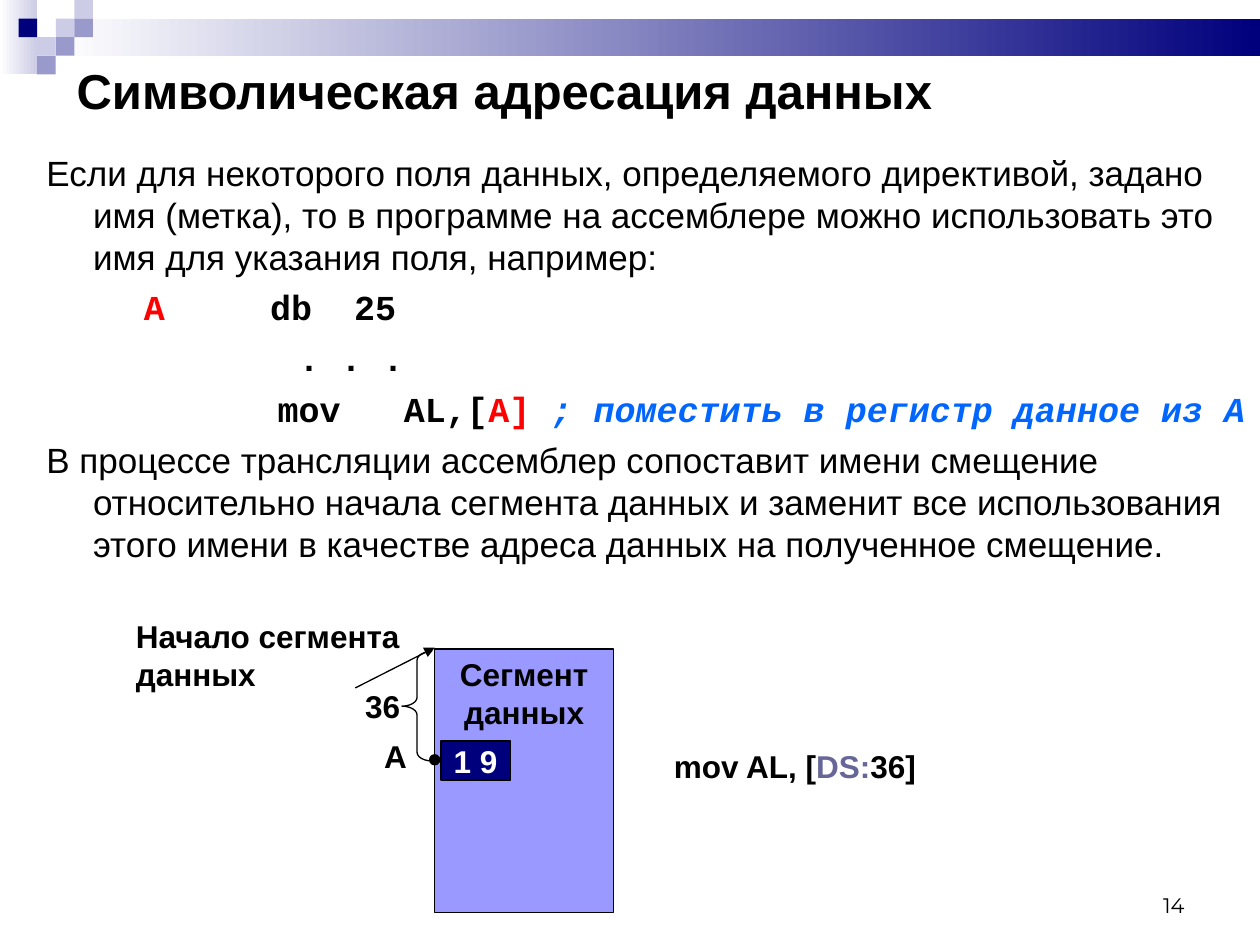
from collections import namedtuple

from lxml import etree
from pptx import Presentation
from pptx import util as u
from pptx.dml.color import RGBColor
from pptx.enum import shapes, text
from pptx.oxml import ns

COLUMN = u.Inches(10) // 100
ROW = u.Inches(7.5) // 75
COLORS = {
    "black": "000000", "white": "FFFFFF", "navy": "00007D", "lavender": "9999FF",
    "pale": "CCCCE6", "violet": "9999CC", "slate": "666699", "red": "FF0000", "blue": "0066FF",
}
ALIGN = text.PP_ALIGN
ANCHOR = text.MSO_ANCHOR
SHAPE = shapes.MSO_SHAPE


class Box(namedtuple("Box", "left top width height")):
    def inner(self, left, top, width, height):
        return Box(self.left + left, self.top + top, width, height)

    def lengths(self):
        return (round(self.left * COLUMN), round(self.top * ROW),
                round(self.width * COLUMN), round(self.height * ROW))


def color(name):
    return RGBColor.from_string(COLORS[name])


def style_font(font, size=18, name="Arial", fill="black", bold=None, italic=None):
    font.size = u.Pt(size)
    font.name = name
    font.color.rgb = color(fill)
    font.bold = bold
    font.italic = italic


def write(shape, lines, align=ALIGN.LEFT, anchor=ANCHOR.TOP, wrap=True, **font):
    frame = shape.text_frame
    frame.word_wrap = wrap
    frame.vertical_anchor = anchor
    for index, line in enumerate(lines):
        paragraph = frame.add_paragraph() if index else frame.paragraphs[0]
        paragraph.text = line
        paragraph.alignment = align
        style_font(paragraph.font, **font)


def add_text(slide, box, lines, **options):
    shape = slide.shapes.add_textbox(*box.lengths())
    write(shape, lines, **options)
    return shape


def add_shape(slide, kind, box, fill=None, outlined=True):
    shape = slide.shapes.add_shape(kind, *box.lengths())
    shape.shadow.inherit = False
    if fill:
        shape.fill.solid()
        shape.fill.fore_color.rgb = color(fill)
    else:
        shape.fill.background()
    if outlined:
        shape.line.color.rgb = color("black")
        shape.line.width = u.Pt(0.75)
    else:
        shape.line.fill.background()
    return shape


def add_gradient(slide, box, end):
    fill = add_shape(slide, SHAPE.RECTANGLE, box, outlined=False).fill
    fill.gradient()
    fill.gradient_angle = 0
    for stop, name in zip(fill.gradient_stops, ("white", end)):
        stop.color.rgb = color(name)


def add_arrow(slide, box):
    left, top, width, height = box.lengths()
    arrow = slide.shapes.add_connector(
        shapes.MSO_CONNECTOR.STRAIGHT, left, top + height, left + width, top)
    arrow.line.color.rgb = color("black")
    arrow.line.width = u.Pt(0.75)
    properties = arrow._element.spPr
    etree.SubElement(properties.find(ns.qn("a:ln")), ns.qn("a:tailEnd"), type="triangle")
    etree.SubElement(properties, ns.qn("a:effectLst"))


def build_banner(slide, box):
    side = box.height / 4
    add_gradient(slide, box.inner(0, 0, 2 * side, box.height), "pale")
    add_gradient(slide, box.inner(3 * side, side, box.width - 3 * side, 2 * side), "navy")
    squares = [(3, 1, "pale"), (4, 0, "pale"), (4, 1, "violet"), (2, 2, "pale"),
               (1, 1, "navy"), (3, 2, "violet"), (2, 3, "violet")]
    for column, row, fill in squares:
        square = box.inner(column * side, row * side, side, side)
        add_shape(slide, SHAPE.RECTANGLE, square, fill, outlined=False)


def build_explanation(slide, box):
    code = {"size": 20, "name": "Courier New", "bold": True}
    red = {**code, "fill": "red"}
    plain = {"size": 20}
    content = [
        [("Если для некоторого поля данных, определяемого директивой, задано имя (метка), "
          "то в программе на ассемблере можно использовать это имя для указания поля, "
          "например:", plain)],
        [("          ", plain), ("A     ", red), ("db  25", code)],
        [("            . . .", code)],
        [("           mov   AL,[", code), ("A] ", red),
         ("; поместить в регистр данное из A", {**code, "fill": "blue", "italic": True})],
        [("В процессе трансляции ассемблер сопоставит имени смещение относительно начала "
          "сегмента данных и заменит все использования этого имени в качестве адреса "
          "данных на полученное смещение.", plain)],
    ]
    frame = add_text(slide, box, [""] * len(content), size=20).text_frame
    for index, (paragraph, runs) in enumerate(zip(frame.paragraphs, content)):
        properties = paragraph._p.get_or_add_pPr()
        properties.set("marL", str(u.Inches(0.37)))
        properties.set("indent", str(-u.Inches(0.37)))
        paragraph.space_before = u.Pt(5 if index else 0)
        for words, font in runs:
            run = paragraph.add_run()
            run.text = words
            style_font(run.font, **font)


def build_segment_diagram(slide, box):
    segment = add_shape(slide, SHAPE.RECTANGLE, box.inner(24.7, 3, 14.2, 20.9), "lavender")
    write(segment, ["Сегмент", "данных"], align=ALIGN.CENTER, wrap=False, bold=True)
    add_arrow(slide, box.inner(18.4, 2.9, 6.3, 3.2))
    add_text(slide, box.inner(0, 0, 23.6, 7.1), ["Начало сегмента", "данных"], bold=True)
    add_text(slide, box.inner(19.7, 9.5, 3.8, 4), ["A"], wrap=False, bold=True)
    add_shape(slide, SHAPE.OVAL, box.inner(24.3, 11.4, 0.8, 0.8), "black")
    add_text(slide, box.inner(18.2, 5.5, 7.1, 4), ["36"], bold=True)
    brace = add_shape(slide, SHAPE.LEFT_BRACE, box.inner(22.1, 3.2, 2.4, 8.7))
    brace.adjustments[0] = 0.29
    value = add_shape(slide, SHAPE.RECTANGLE, box.inner(25.2, 10.3, 5.5, 3.1), "navy")
    write(value, ["1 9"], align=ALIGN.CENTER, anchor=ANCHOR.MIDDLE, wrap=False,
          fill="white", bold=True)


def build_instruction(slide, box):
    paragraph = add_text(slide, box, [""], wrap=False, bold=True).text_frame.paragraphs[0]
    for words, fill in (("mov AL, [", "black"), ("DS:", "slate"), ("36]", "black")):
        run = paragraph.add_run()
        run.text = words
        style_font(run.font, fill=fill, bold=True)


def main():
    presentation = Presentation()
    presentation.slide_width = 100 * COLUMN
    presentation.slide_height = 75 * ROW
    slide = presentation.slides.add_slide(presentation.slide_layouts[6])
    build_banner(slide, Box(0, 0, 100, 5.9))
    add_text(slide, Box(71.7, 68.3, 23.3, 5), ["14"], align=ALIGN.RIGHT,
             anchor=ANCHOR.BOTTOM, size=12, name="Montserrat")
    add_text(slide, Box(5.1, 4.3, 94.9, 5.7), ["Символическая адресация данных"],
             anchor=ANCHOR.MIDDLE, size=28, bold=True)
    build_explanation(slide, Box(2.7, 11.5, 97.3, 63.5))
    build_segment_diagram(slide, Box(9.8, 48.5, 38.9, 23.9))
    build_instruction(slide, Box(52.5, 58.8, 21.3, 4))
    presentation.save("out.pptx")


if __name__ == "__main__":
    main()
